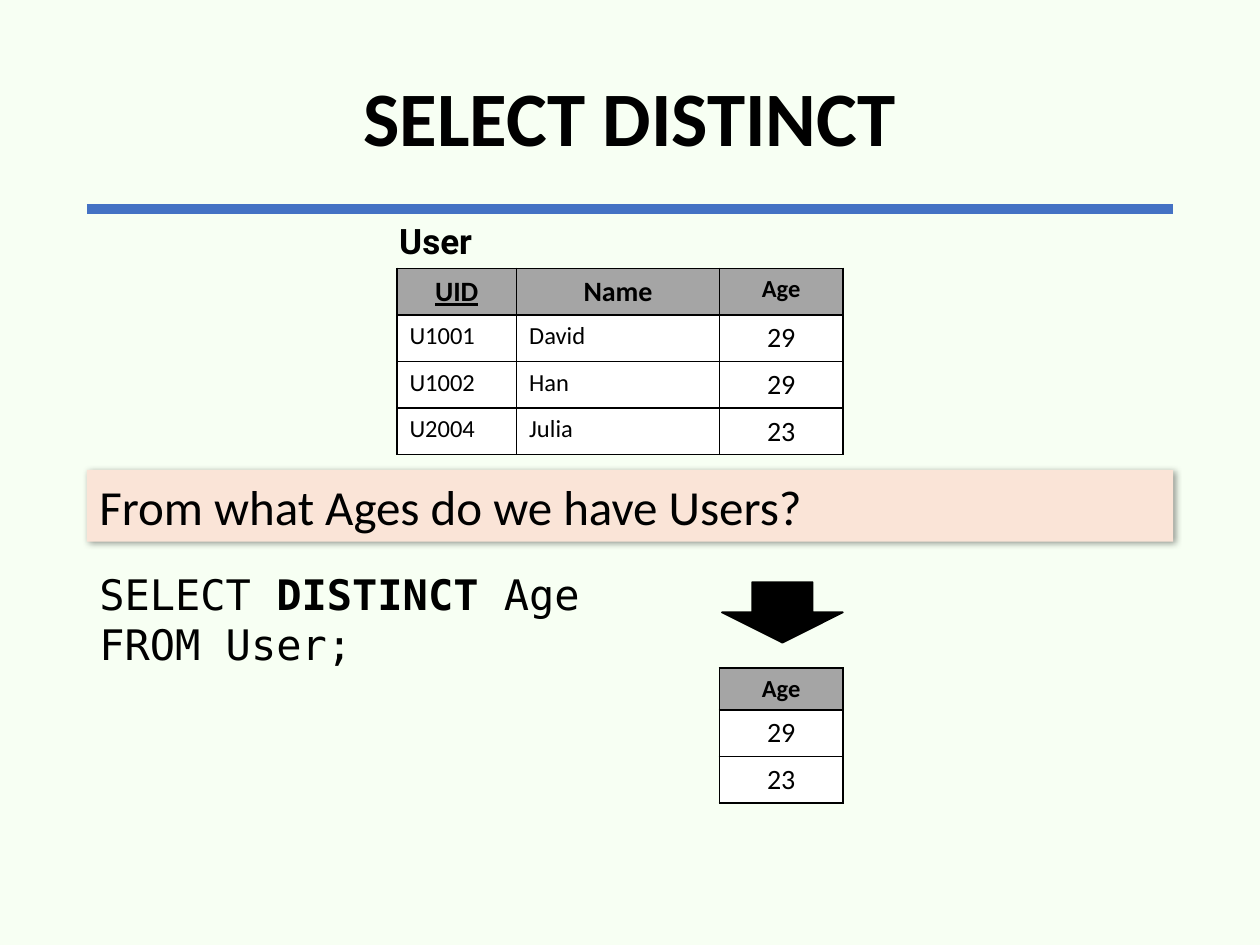
"""Build the SELECT DISTINCT slide."""
import pptx
import pptx.dml.color
import pptx.enum.shapes
import pptx.enum.text
import pptx.oxml
import pptx.oxml.ns
import pptx.util

Inches, Pt = pptx.util.Inches, pptx.util.Pt
SHAPE = pptx.enum.shapes.MSO_SHAPE
ANCHOR = pptx.enum.text.MSO_ANCHOR
ALIGN = pptx.enum.text.PP_ALIGN
NS = pptx.oxml.ns.nsdecls("a")
BLACK, WHITE, GRAY = "000000", "FFFFFF", "A5A5A5"


def rgb(value):
    """Turn a hex string into a colour."""
    return pptx.dml.color.RGBColor.from_string(value)


def box(at):
    """Convert left, top, width and height to lengths."""
    return [Inches(v) for v in at]


def style(p, size, name="Calibri", bold=False, align=ALIGN.LEFT):
    """Format a whole paragraph."""
    p.alignment = align
    p.font.size, p.font.name, p.font.bold = Pt(size), name, bold
    p.font.color.rgb = rgb(BLACK)


def add_title(s, text):
    """Place and format the title placeholder."""
    sp = s.shapes.title
    sp.left, sp.top, sp.width, sp.height = box((0.69, 0.24, 8.62, 1.45))
    tf = sp.text_frame
    tf.text, tf.vertical_anchor = text, ANCHOR.MIDDLE
    p = tf.paragraphs[0]
    p.line_spacing = 0.9
    style(p, 44, bold=True, align=ALIGN.CENTER)


def add_rule(s):
    """Draw the rule under the title."""
    line = s.shapes.add_connector(
        pptx.enum.shapes.MSO_CONNECTOR.STRAIGHT, *box((0.69, 1.66, 9.31, 1.66)))
    line.line.color.rgb, line.line.width = rgb("4472C4"), Pt(6)
    line._element.spPr.append(pptx.oxml.parse_xml(f"<a:effectLst {NS}/>"))


def add_text(s, at, lines, size, name, bold=False, wrap=True):
    """Add a text box whose lines are lists of (text, bold) runs."""
    tf = s.shapes.add_textbox(*box(at)).text_frame
    tf.word_wrap = wrap
    for i, runs in enumerate(lines):
        p = tf.add_paragraph() if i else tf.paragraphs[0]
        style(p, size, name, bold)
        for text, strong in runs:
            r = p.add_run()
            r.text = text
            if strong:
                r.font.bold = True


def add_shape(s, kind, at, fill):
    """Add a filled preset shape without outline or shadow."""
    sp = s.shapes.add_shape(kind, *box(at))
    sp.shadow.inherit = False
    sp.fill.solid()
    sp.fill.fore_color.rgb = rgb(fill)
    sp.line.fill.background()
    return sp


def add_question(s, text):
    """Add the question banner with its soft shadow."""
    sp = add_shape(s, SHAPE.RECTANGLE, (0.69, 3.73, 8.62, 0.57), "FAE4D7")
    sp._element.spPr.find(pptx.oxml.ns.qn("a:effectLst")).append(pptx.oxml.parse_xml(
        f'<a:outerShdw {NS} blurRad="{Pt(4)}" dist="{Pt(1)}" dir="2700000">'
        f'<a:srgbClr val="{BLACK}"><a:alpha val="40000"/></a:srgbClr></a:outerShdw>'))
    tf = sp.text_frame
    tf.word_wrap, tf.vertical_anchor = True, ANCHOR.TOP
    tf.text = text
    style(tf.paragraphs[0], 28)


def fill_cell(cell, text, size, fill, bold, align):
    """Write one bordered and filled table cell."""
    tc_pr = cell._tc.get_or_add_tcPr()
    for side in "LRTB":
        tc_pr.append(pptx.oxml.parse_xml(
            f'<a:ln{side} {NS} w="{Pt(1)}"><a:solidFill><a:srgbClr val="{BLACK}"/>'
            f'</a:solidFill></a:ln{side}>'))
    cell.fill.solid()
    cell.fill.fore_color.rgb = rgb(fill)
    cell.text = text
    style(cell.text_frame.paragraphs[0], size, bold=bold, align=align)


def add_table(s, left, top, widths, heights, rows):
    """Add a table with a gray header and centred ages; return it."""
    at = (left, top, sum(widths), sum(heights))
    table = s.shapes.add_table(len(rows), len(widths), *box(at)).table
    for column, width in zip(table.columns, widths):
        column.width = Inches(width)
    for i, (row, height) in enumerate(zip(rows, heights)):
        table.rows[i].height = Inches(height)
        for j, text in enumerate(row):
            header, age = i == 0, j == len(row) - 1
            fill_cell(table.cell(i, j), text, 16 if header != age else 14,
                      GRAY if header else WHITE, header,
                      ALIGN.CENTER if header or age else ALIGN.LEFT)
    return table


def main():
    """Build and save the slide."""
    prs = pptx.Presentation()
    prs.slide_width, prs.slide_height = Inches(10), Inches(7.5)
    s = prs.slides.add_slide(prs.slide_layouts[5])
    s.background.fill.solid()
    s.background.fill.fore_color.rgb = rgb("F7FFF3")

    add_rule(s)
    add_title(s, "SELECT DISTINCT")
    add_text(s, (0.69, 4.46, 4.39, 0.97),
             [[("SELECT ", False), ("DISTINCT", True), (" Age", False)],
              [("FROM User;", False)]], 24, "DejaVu Sans Mono")
    add_question(s, "From what Ages do we have Users?")
    users = add_table(s, 3.15, 2.13, [0.95, 1.61, 0.98], [0.37] * 4,
                      [("UID", "Name", "Age"), ("U1001", "David", "29"),
                       ("U1002", "Han", "29"), ("U2004", "Julia", "23")])
    users.cell(0, 0).text_frame.paragraphs[0].font.underline = True
    add_text(s, (3.07, 1.69, 0.78, 0.44), [[("User", False)]], 20, "Roboto",
             bold=True, wrap=False)
    arrow = add_shape(s, SHAPE.DOWN_ARROW, (5.73, 4.62, 0.96, 0.48), BLACK)
    arrow.line.color.rgb, arrow.line.width = rgb(BLACK), Pt(1)
    add_table(s, 5.71, 5.3, [0.98], [0.33, 0.37, 0.37], [("Age",), ("29",), ("23",)])
    prs.save("out.pptx")


if __name__ == "__main__":
    main()
